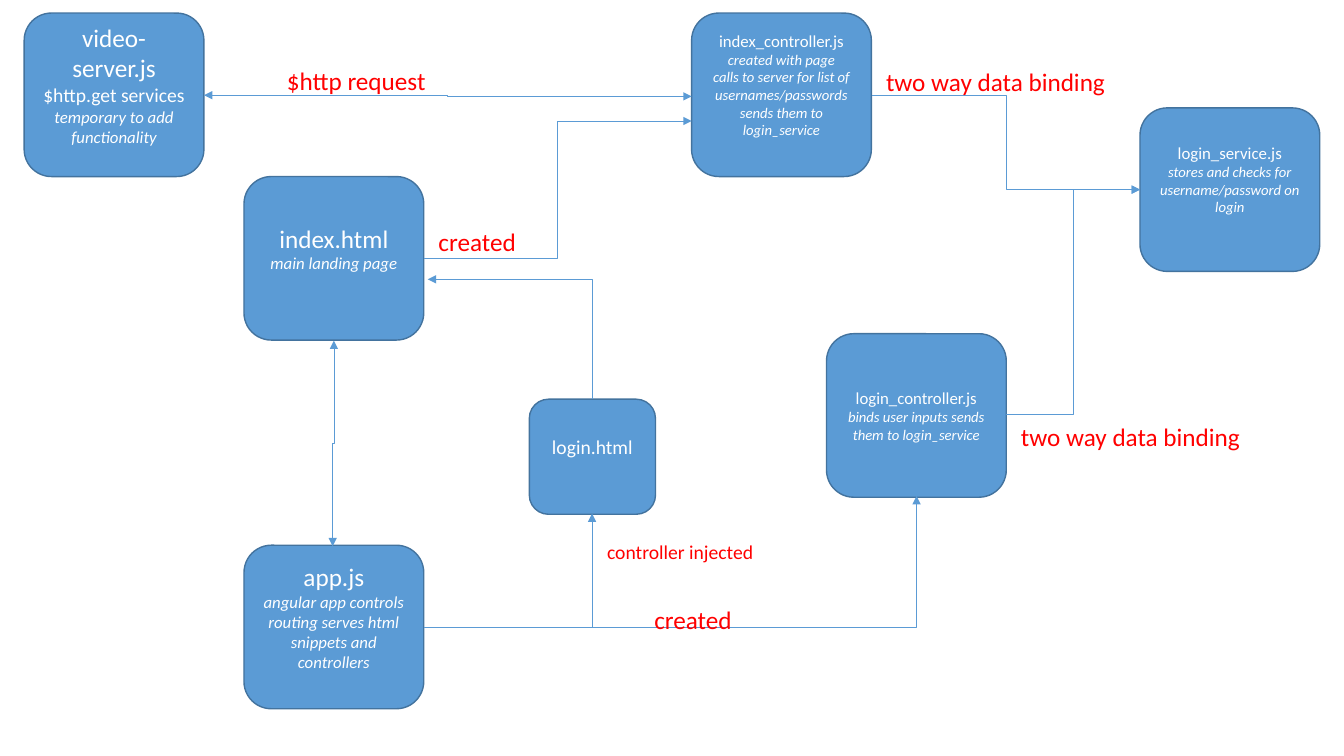
from lxml.etree import SubElement
from pptx import Presentation
from pptx.dml.color import RGBColor
from pptx.enum.shapes import MSO_CONNECTOR, MSO_SHAPE
from pptx.enum.text import MSO_ANCHOR, MSO_AUTO_SIZE, PP_ALIGN
from pptx.oxml.ns import qn
from pptx.util import Cm, Pt

BLUE, EDGE, WHITE, RED = "5B9BD5", "43739E", "FFFFFF", "FF0000"
BOX_W, BOX_H = 4.53, 4.12


def paint(fmt, color):
    """Give a fill, or the fill of a line, a solid hex colour."""
    fmt.solid()
    fmt.fore_color.rgb = RGBColor.from_string(color)


def add_text(tf, text, size=18, color=WHITE, italic=False, align=PP_ALIGN.CENTER):
    """Write one paragraph, using the first one while it is still empty."""
    p = tf.paragraphs[0] if not tf.text else tf.add_paragraph()
    p.alignment = align
    r = p.add_run()
    r.text = text
    r.font.name = "Calibri"
    r.font.size = Pt(size)
    r.font.italic = italic
    paint(r.font.fill, color)


prs = Presentation()
prs.slide_width, prs.slide_height = Cm(33.87), Cm(19.05)
s = prs.slides.add_slide(prs.slide_layouts[6])

# Boxes: left, top, width, height, bottom inset, lines of (text, size, italic)
boxes = [
    (0.61, 0.33, BOX_W, BOX_H, 0.64, [
        ("video-server.js", 18, False),
        ("$http.get services", 14, False),
        ("temporary to add functionality", 12, True)]),
    (6.15, 13.74, BOX_W, BOX_H, 0.64, [
        ("app.js", 18, False),
        ("angular app controls routing serves html snippets and controllers", 12, True)]),
    (6.15, 4.45, BOX_W, BOX_H, 0.64, [
        ("index.html", 18, False),
        ("main landing page", 12, True)]),
    (17.43, 0.33, BOX_W, BOX_H, 0.64, [
        ("index_controller.js", 12, False),
        ("created with page", 10.5, True),
        ("calls to server for list of usernames/passwords", 10.5, True),
        ("sends them to login_service", 10.5, True)]),
    (28.73, 2.72, BOX_W, BOX_H, 0.64, [
        ("login_service.js", 12, False),
        ("stores and checks for username/password on login", 10.5, True)]),
    (20.83, 8.41, BOX_W, BOX_H, 0.13, [
        ("login_controller.js", 12, False),
        ("binds user inputs sends them to login_service", 10.5, True)]),
    (13.34, 10.06, 3.18, 2.9, 0.64, [
        ("login.html", 14, False)]),
]
for left, top, width, height, inset, lines in boxes:
    sp = s.shapes.add_shape(MSO_SHAPE.ROUNDED_RECTANGLE,
                            Cm(left), Cm(top), Cm(width), Cm(height))
    sp.shadow.inherit = False
    paint(sp.fill, BLUE)
    paint(sp.line.fill, EDGE)
    sp.line.width = Pt(1)
    tf = sp.text_frame
    tf.word_wrap = True
    tf.vertical_anchor = MSO_ANCHOR.MIDDLE
    tf.margin_bottom = Cm(inset)
    for text, size, italic in lines:
        add_text(tf, text, size=size, italic=italic)

# Arrows: geometry, start, end, ends with a head, rotation in degrees
arrows = [
    ("bentConnector3", (5.14, 2.4), (17.43, 2.43), ("headEnd", "tailEnd"), 0),
    ("bentConnector3", (10.68, 6.5), (17.43, 3.05), ("tailEnd",), 0),
    ("bentConnector3", (5.81, 11.16), (10.99, 11.19), ("headEnd", "tailEnd"), 90),
    ("bentConnector3", (21.97, 2.4), (28.73, 4.78), ("tailEnd",), 0),
    ("bentConnector3", (25.36, 10.44), (28.73, 4.78), ("tailEnd",), 0),
    ("bentConnector2", (10.68, 15.8), (23.1, 12.5), ("tailEnd",), 0),
    ("bentConnector2", (10.78, 7.04), (14.92, 10.06), ("headEnd",), 0),
    ("line", (14.92, 15.8), (14.92, 12.94), ("tailEnd",), 0),
]
for geometry, start, end, heads, angle in arrows:
    c = s.shapes.add_connector(MSO_CONNECTOR.ELBOW, *map(Cm, start + end))
    paint(c.line.fill, BLUE)
    c.line.width = Pt(0.5)
    sp_pr = c._element.spPr
    sp_pr.find(qn("a:prstGeom")).set("prst", geometry)
    if angle:
        sp_pr.find(qn("a:xfrm")).set("rot", str(angle * 60000))
    for head in heads:
        SubElement(sp_pr.find(qn("a:ln")), qn(f"a:{head}"), type="triangle")
    SubElement(sp_pr, qn("a:effectLst"))

# Labels: text, left, top, width, height, size
labels = [
    ("created", 10.8, 5.59, 2.49, 1.03, 18),
    ("$http request", 6.98, 1.52, 4.06, 1.03, 18),
    ("created", 16.24, 15.1, 2.49, 1.03, 18),
    ("two way data binding", 22.08, 1.54, 6.1, 1.03, 18),
    ("two way data binding", 25.48, 10.5, 6.1, 1.03, 18),
    ("controller injected", 15.05, 13.49, 4.24, 0.86, 14),
]
for text, left, top, width, height, size in labels:
    tf = s.shapes.add_textbox(Cm(left), Cm(top), Cm(width), Cm(height)).text_frame
    tf.word_wrap = False
    tf.auto_size = MSO_AUTO_SIZE.SHAPE_TO_FIT_TEXT
    add_text(tf, text, size=size, color=RED, align=PP_ALIGN.LEFT)

prs.save("out.pptx")
